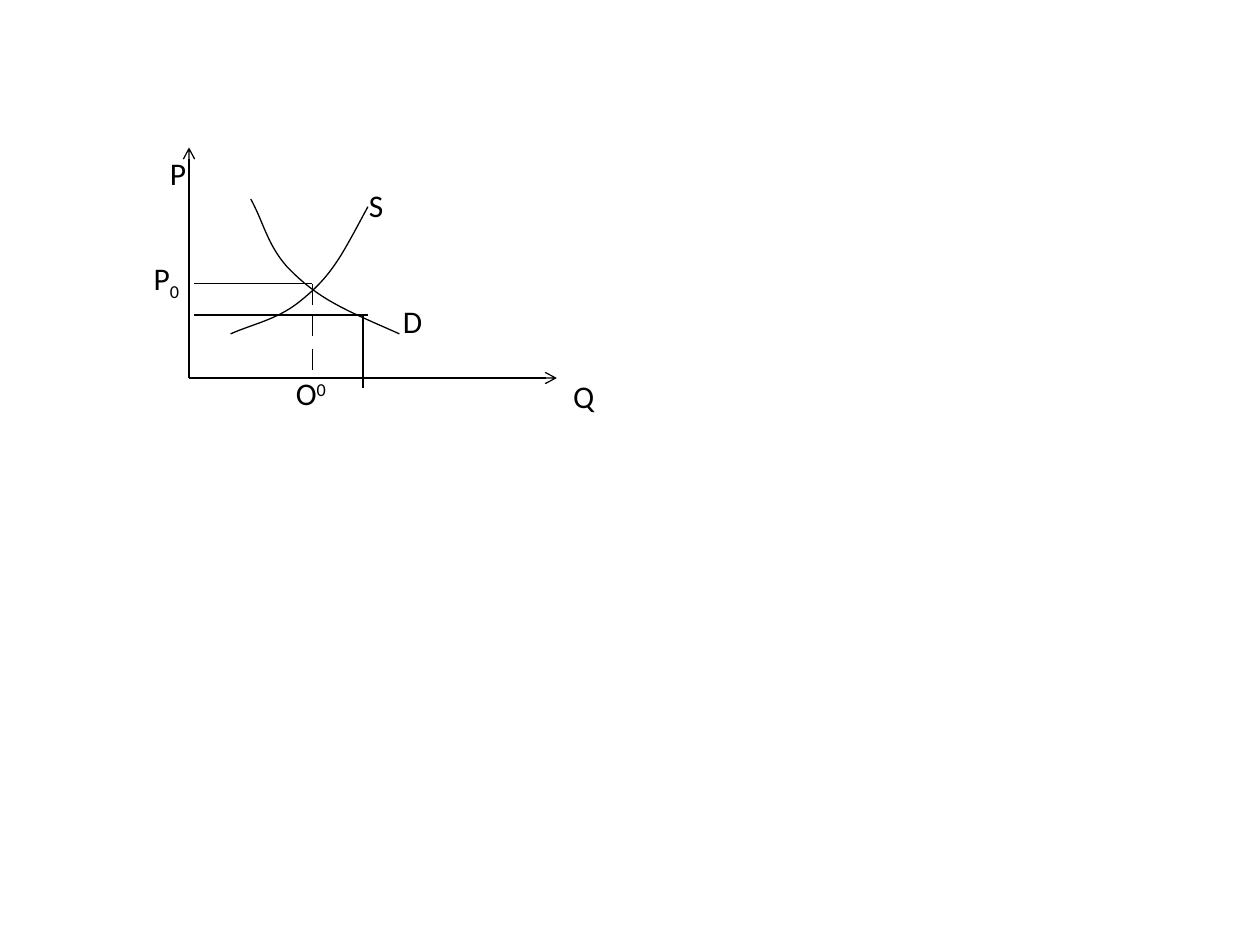
from lxml import etree
from pptx import Presentation
from pptx.dml.color import RGBColor
from pptx.enum.shapes import MSO_CONNECTOR
from pptx.enum.text import MSO_AUTO_SIZE
from pptx.oxml.ns import qn
from pptx.util import Inches, Pt

STRAIGHT = MSO_CONNECTOR.STRAIGHT
FIT_SHAPE = MSO_AUTO_SIZE.SHAPE_TO_FIT_TEXT
BLACK = RGBColor(0, 0, 0)


def write(paragraph, text, font="Calibri", size=18, color=BLACK, baseline=0):
    run = paragraph.add_run()
    run.text = text
    run.font.name = font
    run.font.size = Pt(size)
    run.font.color.rgb = color
    if baseline:
        run._r.get_or_add_rPr().set("baseline", str(baseline * 1000))


def bezier_points(start, segments, steps=16):
    points = []
    for first, second, end in segments:
        for step in range(1, steps + 1):
            t = step / steps
            u = 1 - t
            weights = (u ** 3, 3 * u * u * t, 3 * u * t * t, t ** 3)
            points.append(tuple(
                sum(w * c for w, c in zip(weights, axis))
                for axis in zip(start, first, second, end)))
        start = end
    return points


class Diagram:
    def __init__(self, slide, color=BLACK, weight=0.75):
        self.shapes = slide.shapes
        self.color = color
        self.weight = weight

    def stroke(self, line):
        line.color.rgb = self.color
        line.width = Pt(self.weight)

    def line(self, start, end, arrow=False):
        connector = self.shapes.add_connector(
            STRAIGHT, *(Inches(v) for v in (*start, *end)))
        self.stroke(connector.line)
        properties = connector._element.spPr
        if arrow:
            outline = properties.find(qn("a:ln"))
            etree.SubElement(outline, qn("a:tailEnd")).set("type", "arrow")
        etree.SubElement(properties, qn("a:effectLst"))

    def curve(self, start, segments):
        builder = self.shapes.build_freeform(*(Inches(v) for v in start))
        builder.add_line_segments(
            [(Inches(x), Inches(y)) for x, y in bezier_points(start, segments)],
            close=False)
        curve = builder.convert_to_shape()
        curve.shadow.inherit = False
        curve.fill.background()
        self.stroke(curve.line)

    def label(self, left, top, width, text, index="", baseline=0):
        box = self.shapes.add_textbox(
            Inches(left), Inches(top), Inches(width), Inches(0.4))
        frame = box.text_frame
        frame.word_wrap = False
        frame.auto_size = FIT_SHAPE
        write(frame.paragraphs[0], text)
        if index:
            write(frame.paragraphs[0], index, baseline=baseline)


presentation = Presentation()
presentation.slide_width = Inches(10)
presentation.slide_height = Inches(7.5)
market = Diagram(presentation.slides.add_slide(presentation.slide_layouts[6]))

origin = (1.5, 3)
for axis_end in ((1.5, 1.17), (4.42, 3)):
    market.line(origin, axis_end, arrow=True)

market.label(1.25, 1.17, 0.33, "P")
market.label(1.12, 2.01, 0.42, "P", "0", -25)
market.label(2.25, 2.92, 0.45, "O", "0", 30)

equilibrium_x, equilibrium_y, lower_price = 2.48, 2.25, 2.5
market.line((1.54, equilibrium_y), (equilibrium_x, equilibrium_y))
market.line((1.54, lower_price), (2.92, lower_price))
market.line((2.88, lower_price), (2.88, 3.08))
for dash_top in (equilibrium_y, lower_price, 2.77):
    market.line((equilibrium_x, dash_top), (equilibrium_x, dash_top + 0.17))

demand = [((2.09, 1.76), (2.12, 1.94), (2.28, 2.12)),
          ((2.53, 2.38), (2.74, 2.46), (3.17, 2.65))]
supply = [((2.01, 2.57), (2.19, 2.54), (2.37, 2.4)),
          ((2.64, 2.19), (2.72, 2.01), (2.92, 1.64))]
market.curve((1.99, 1.58), demand)
market.curve((1.83, 2.65), supply)

market.label(2.83, 1.43, 0.32, "S")
market.label(3.1, 2.35, 0.36, "D")
market.label(4.45, 2.94, 0.37, "Q")

presentation.save("out.pptx")
